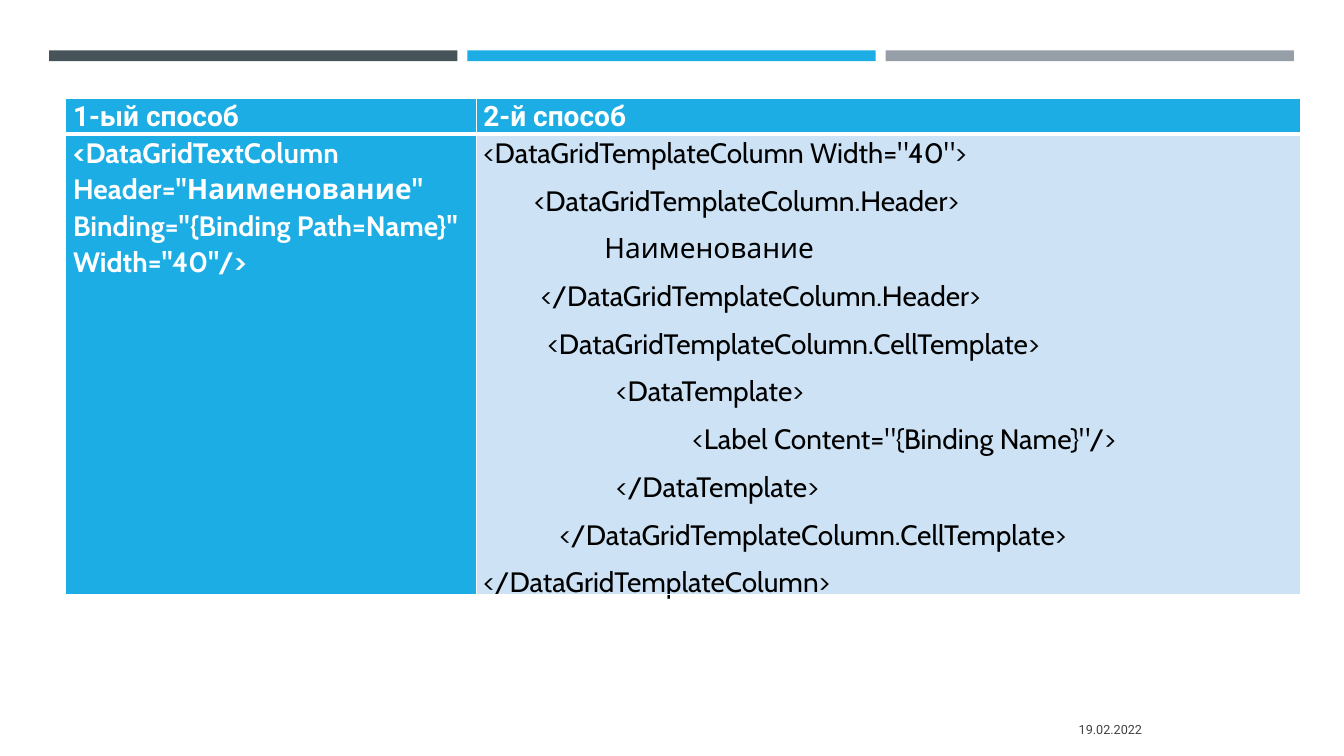
from lxml import etree
from pptx import Presentation
from pptx.dml.color import RGBColor
from pptx.enum.shapes import MSO_SHAPE
from pptx.enum.text import MSO_ANCHOR, PP_ALIGN
from pptx.oxml.ns import qn
from pptx.util import Cm, Pt

RECTANGLE = MSO_SHAPE.RECTANGLE
MIDDLE = MSO_ANCHOR.MIDDLE
LEFT, RIGHT, JUSTIFY = PP_ALIGN.LEFT, PP_ALIGN.RIGHT, PP_ALIGN.JUSTIFY

WHITE = RGBColor(0xFF, 0xFF, 0xFF)
BLACK = RGBColor(0x00, 0x00, 0x00)
BLUE = RGBColor(0x1C, 0xAD, 0xE4)
PALE_BLUE = RGBColor(0xCD, 0xE3, 0xF5)
SLATE = RGBColor(0x46, 0x53, 0x59)
GRAY = RGBColor(0x96, 0x9F, 0xA7)
DATE_GRAY = RGBColor(0x40, 0x40, 0x40)

HEADER_FONT = {"name": "Roboto", "size": Pt(20), "bold": True}
FIRST_CODE_FONT = {"name": "Cabin", "size": Pt(20), "bold": True}
SECOND_CODE_FONT = {"name": "Cabin", "size": Pt(20), "bold": False}
DATE_FONT = {"name": "Roboto", "size": Pt(9), "bold": False}
TABLE_PARAGRAPH = {"line_spacing": 1.07, "space_after": Pt(8)}
CELL_MARGINS = {
    "margin_left": Cm(0.18),
    "margin_right": Cm(0.18),
    "margin_top": 0,
    "margin_bottom": 0,
}

FIRST_METHOD = [
    (0, '<DataGridTextColumn Header="Наименование" Binding="{Binding Path=Name}" Width="40"/>'),
]
SECOND_METHOD = [
    (0, '<DataGridTemplateColumn Width="40">'),
    (1.28, "<DataGridTemplateColumn.Header>"),
    (3.05, "Наименование"),
    (1.45, "</DataGridTemplateColumn.Header>"),
    (1.62, "<DataGridTemplateColumn.CellTemplate>"),
    (3.35, "<DataTemplate>"),
    (5.27, '<Label Content="{Binding Name}"/>'),
    (3.35, "</DataTemplate>"),
    (1.92, "</DataGridTemplateColumn.CellTemplate>"),
    (0, "</DataGridTemplateColumn>"),
]
CELLS = [
    [
        ([(0, "1-ый способ")], HEADER_FONT, WHITE, BLUE, JUSTIFY),
        ([(0, "2-й способ")], HEADER_FONT, WHITE, BLUE, JUSTIFY),
    ],
    [
        (FIRST_METHOD, FIRST_CODE_FONT, WHITE, BLUE, LEFT),
        (SECOND_METHOD, SECOND_CODE_FONT, BLACK, PALE_BLUE, LEFT),
    ],
]
ROW_BORDERS = [
    {"lnL": 1, "lnR": 1, "lnT": 1, "lnB": 3},
    {"lnL": 1, "lnR": 1, "lnT": 3, "lnB": 1},
]


def apply_format(target, values):
    """Set every attribute named in a dict of format values."""
    for name, value in values.items():
        setattr(target, name, value)


class SlideBuilder:
    """Hold the style and the current slide."""

    def __init__(self, slide):
        """Keep the slide that receives the elements."""
        self.slide = slide

    def bar(self, left, top, width, height, color):
        """Add a plain coloured bar."""
        shape = self.slide.shapes.add_shape(RECTANGLE, left, top, width, height)
        shape.shadow.inherit = False
        shape.fill.solid()
        shape.fill.fore_color.rgb = color
        shape.line.fill.background()

    def fill_text(self, text_frame, lines, font, color, paragraph_format):
        """Fill a text frame with indented lines, one paragraph each."""
        for index, (indent, text) in enumerate(lines):
            paragraph = text_frame.paragraphs[0] if index == 0 else text_frame.add_paragraph()
            apply_format(paragraph, paragraph_format)
            if indent:
                paragraph._p.get_or_add_pPr().set("marL", str(Cm(indent)))
            run = paragraph.add_run()
            run.text = text
            apply_format(run.font, font)
            run.font.color.rgb = color

    def text(self, left, top, width, height, text, font, color, alignment):
        """Add a vertically centred text box."""
        text_frame = self.slide.shapes.add_textbox(left, top, width, height).text_frame
        apply_format(text_frame, {"word_wrap": True, "vertical_anchor": MIDDLE})
        self.fill_text(text_frame, [(0, text)], font, color, {"alignment": alignment})

    def borders(self, cell, widths):
        """Draw white cell borders of the given point widths."""
        properties = cell._tc.get_or_add_tcPr()
        for position, (side, width) in enumerate(widths.items()):
            line = etree.Element(qn(f"a:{side}"), w=str(Pt(width)))
            fill = etree.SubElement(line, qn("a:solidFill"))
            etree.SubElement(fill, qn("a:srgbClr"), val=str(WHITE))
            properties.insert(position, line)

    def table(self, left, top, column_widths, row_heights, cells):
        """Add a table with its own fills and borders."""
        table = self.slide.shapes.add_table(
            len(row_heights), len(column_widths), left, top, sum(column_widths), sum(row_heights)
        ).table
        apply_format(table, {"first_row": False, "horz_banding": False})
        for column, width in zip(table.columns, column_widths):
            column.width = width
        for row, height, contents, widths in zip(table.rows, row_heights, cells, ROW_BORDERS):
            row.height = height
            for cell, (lines, font, color, fill, alignment) in zip(row.cells, contents):
                apply_format(cell, CELL_MARGINS)
                cell.fill.solid()
                cell.fill.fore_color.rgb = fill
                self.borders(cell, widths)
                paragraph_format = {**TABLE_PARAGRAPH, "alignment": alignment}
                self.fill_text(cell.text_frame, lines, font, color, paragraph_format)


def main():
    """Build and save the presentation."""
    presentation = Presentation()
    presentation.slide_width = Cm(33.87)
    presentation.slide_height = Cm(19.05)
    builder = SlideBuilder(presentation.slides.add_slide(presentation.slide_layouts[6]))

    for index, color in enumerate((SLATE, BLUE, GRAY)):
        builder.bar(Cm(1.24 + index * 10.54), Cm(1.27), Cm(10.29), Cm(0.27), color)
    builder.text(Cm(21.13), Cm(17.86), Cm(7.9), Cm(1.02), "19.02.2022", DATE_FONT, DATE_GRAY, RIGHT)
    builder.table(Cm(1.66), Cm(2.47), [Cm(10.34), Cm(20.78)], [Cm(0.85), Cm(11.57)], CELLS)

    presentation.save("out.pptx")


if __name__ == "__main__":
    main()
